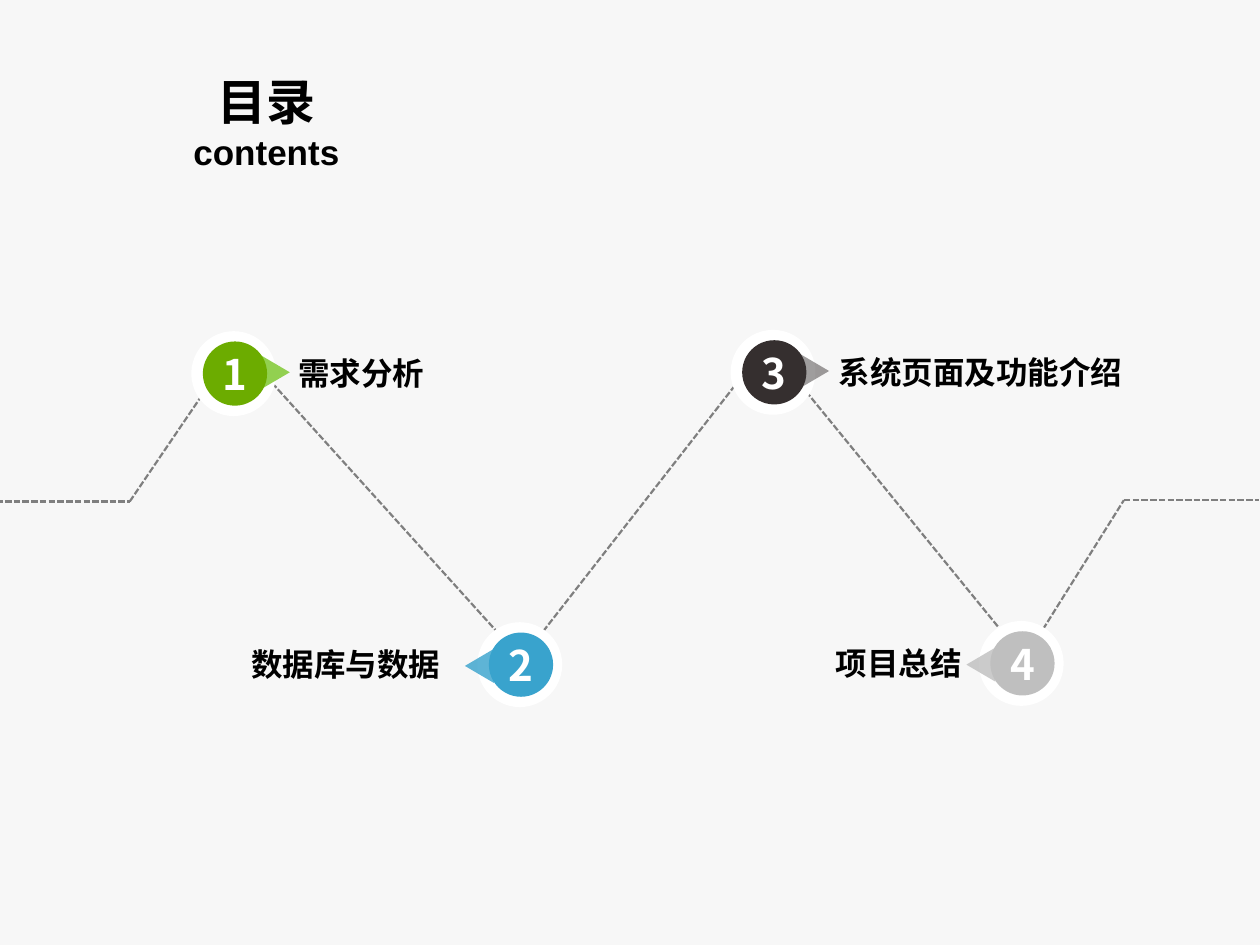
from itertools import pairwise
from lxml import etree
from pptx import Presentation
from pptx.dml.color import RGBColor
from pptx.enum import dml, shapes, text
from pptx.oxml.ns import qn
from pptx.util import Inches, Pt

BACKGROUND = RGBColor(0xF7, 0xF7, 0xF7)
BLACK = RGBColor(0, 0, 0)
WHITE = RGBColor(0xFF, 0xFF, 0xFF)
ROUTE = RGBColor(0x7F, 0x7F, 0x7F)
GREEN = RGBColor(0x6C, 0xAC, 0x00)
LIGHT_GREEN = RGBColor(0x92, 0xD0, 0x50)
DARK = RGBColor(0x35, 0x2F, 0x2F)
BLUE = RGBColor(0x39, 0xA3, 0xCD)
SILVER = RGBColor(0xBF, 0xBF, 0xBF)
CJK = "Noto Sans CJK SC"


def style_text(p, value, size, font, color, align):
    p.alignment = align
    p.font.size, p.font.bold, p.font.name = Pt(size), True, font
    p.font.color.rgb = color
    r = p.add_run()
    r.text = value
    r.font.size, r.font.bold, r.font.name = Pt(size), True, font
    r.font.color.rgb = color
    etree.SubElement(r.font._element, qn("a:ea"), typeface=CJK)


def add_plain(kind, x, y, w, h, color):
    sp = s.shapes.add_shape(kind, Inches(x), Inches(y), Inches(w), Inches(h))
    sp.shadow.inherit = False
    sp.fill.solid()
    sp.fill.fore_color.rgb = color
    sp.line.fill.background()
    return sp


prs = Presentation()
prs.slide_width, prs.slide_height = Inches(10), Inches(7.5)
s = prs.slides.add_slide(prs.slide_layouts[5])
s.background.fill.solid()
s.background.fill.fore_color.rgb = BACKGROUND

route = [(-0.03, 3.98), (1.03, 3.98), (1.88, 2.73), (4.14, 5.23),
         (6.09, 2.73), (8.13, 5.23), (8.92, 3.97), (9.99, 3.97)]
for (x1, y1), (x2, y2) in pairwise(route):
    line = s.shapes.add_connector(shapes.MSO_CONNECTOR.STRAIGHT,
                                  Inches(x1), Inches(y1), Inches(x2), Inches(y2))
    line.line.color.rgb = ROUTE
    line.line.width = Pt(1.25)
    line.line.dash_style = dml.MSO_LINE.SQUARE_DOT
    etree.SubElement(line._element.spPr, qn("a:effectLst"))

title = s.shapes.title
title.left, title.top = Inches(1.41), Inches(0.62)
title.width, title.height = Inches(1.41), Inches(0.7)
tf = title.text_frame
tf.auto_size = text.MSO_AUTO_SIZE.NONE
tf.vertical_anchor = text.MSO_ANCHOR.MIDDLE
style_text(tf.paragraphs[0], "目录", 28, CJK, BLACK, text.PP_ALIGN.CENTER)
style_text(tf.add_paragraph(), "contents", 20, "Arial", BLACK, text.PP_ALIGN.CENTER)

stops = [
    ("1", "需求分析", 1.56, 2.67, 2.27, GREEN, LIGHT_GREEN, 100, True),
    ("2", "数据库与数据", 3.83, 4.98, 0.47, BLUE, BLUE, 81, False),
    ("3", "系统页面及功能介绍", 5.84, 2.66, 6.56, DARK, DARK, 47, True),
    ("4", "项目总结", 7.81, 4.97, 4.61, SILVER, SILVER, 81, False),
]
for number, label, x, y, label_x, color, tip_color, opacity, points_right in stops:
    ring = add_plain(shapes.MSO_SHAPE.OVAL, x, y, 0.59, 0.59, WHITE)
    ring.line.color.rgb = WHITE
    ring.line.width = Pt(6)

    dx, dy = (0.49, 0.17) if points_right else (-0.16, 0.19)
    tip = add_plain(shapes.MSO_SHAPE.ISOSCELES_TRIANGLE, x + dx, y + dy, 0.27, 0.23, tip_color)
    tip.rotation = 90 if points_right else 270
    if opacity < 100:
        srgb = tip._element.spPr.find(qn("a:solidFill")).find(qn("a:srgbClr"))
        etree.SubElement(srgb, qn("a:alpha"), val=str(opacity * 1000))

    core = add_plain(shapes.MSO_SHAPE.OVAL, x + 0.05, y + 0.04, 0.51, 0.51, color)
    tf = core.text_frame
    tf.margin_left = tf.margin_right = tf.margin_top = tf.margin_bottom = 0
    tf.vertical_anchor = text.MSO_ANCHOR.MIDDLE
    style_text(tf.paragraphs[0], number, 24, CJK, WHITE, text.PP_ALIGN.CENTER)

    box = s.shapes.add_textbox(Inches(label_x), Inches(y - 0.06), Inches(3.12), Inches(0.7))
    tf = box.text_frame
    tf.word_wrap = True
    tf.vertical_anchor = text.MSO_ANCHOR.MIDDLE
    align = text.PP_ALIGN.LEFT if points_right else text.PP_ALIGN.RIGHT
    style_text(tf.paragraphs[0], label, 18, "Arial", BLACK, align)

prs.save("out.pptx")
